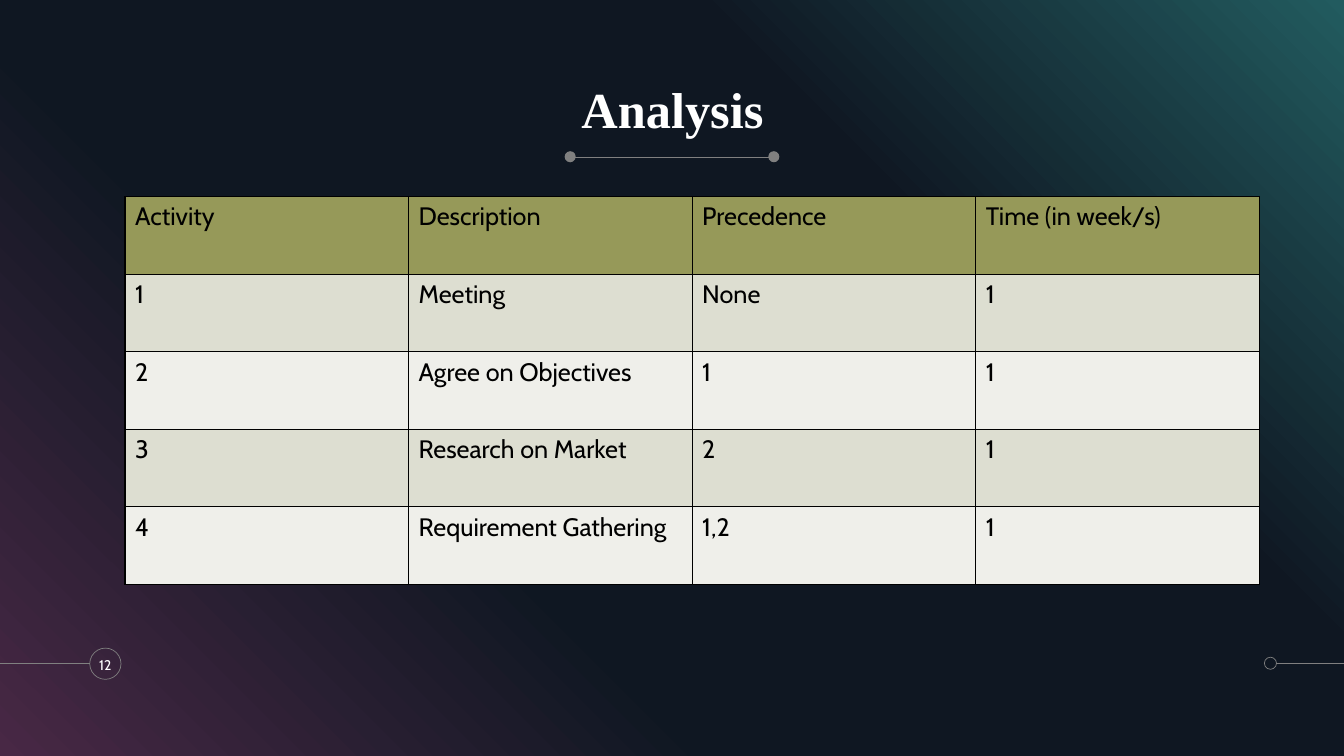
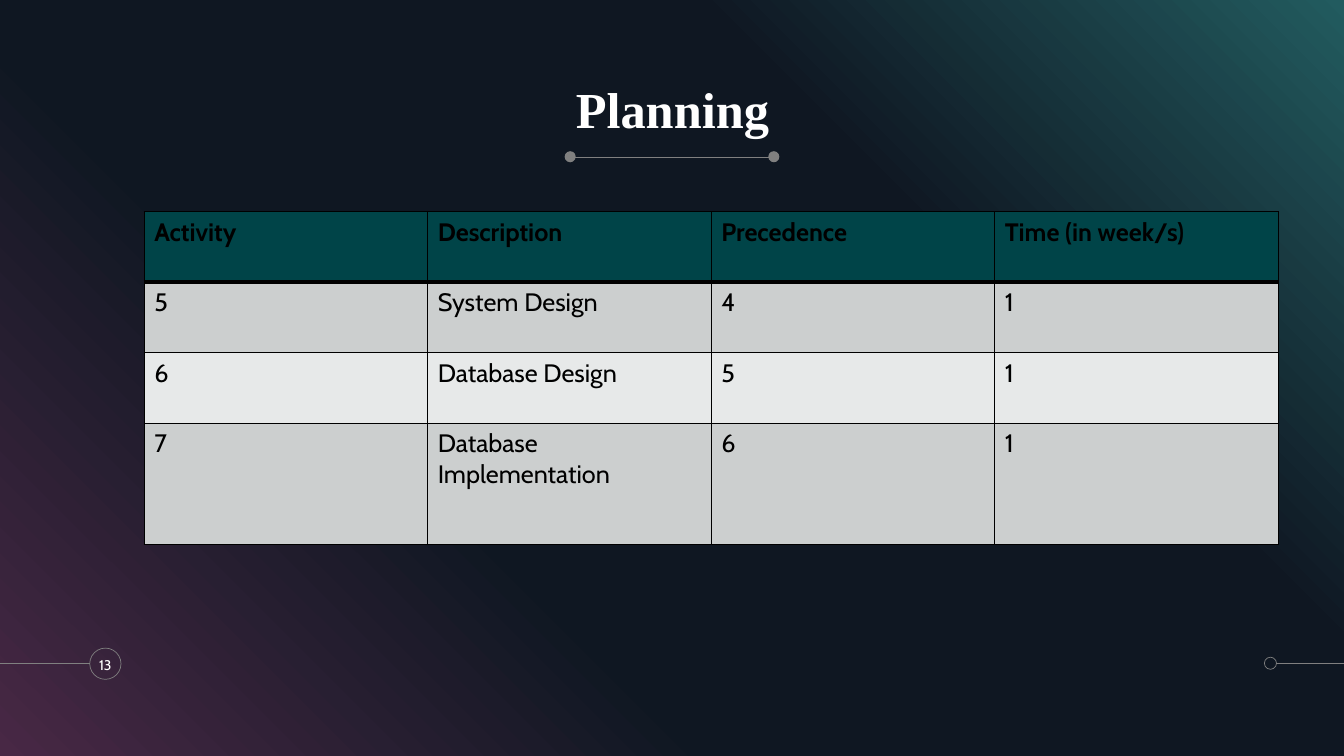
import copy

import lxml.etree
import pptx
import pptx.dml.color
import pptx.enum.shapes
import pptx.enum.text
import pptx.oxml.ns
import pptx.util

Inches = pptx.util.Inches
Pt = pptx.util.Pt
RGBColor = pptx.dml.color.RGBColor
Shape = pptx.enum.shapes.MSO_SHAPE
Align = pptx.enum.text.PP_ALIGN
Anchor = pptx.enum.text.MSO_ANCHOR
qn = pptx.oxml.ns.qn

BLACK = RGBColor(0x00, 0x00, 0x00)
WHITE = RGBColor(0xFF, 0xFF, 0xFF)
GREY = RGBColor(0x80, 0x80, 0x80)
PLUM = RGBColor(0x48, 0x28, 0x45)
NIGHT = RGBColor(0x0F, 0x17, 0x22)
TEAL = RGBColor(0x22, 0x5B, 0x5F)
OLIVE = RGBColor(0x96, 0x99, 0x59)
OLIVE_BAND = RGBColor(0xDD, 0xDE, 0xD1)
OLIVE_PALE = RGBColor(0xEF, 0xEF, 0xEA)
PINE = RGBColor(0x00, 0x44, 0x48)
PINE_BAND = RGBColor(0xCC, 0xCF, 0xCF)
PINE_PALE = RGBColor(0xE7, 0xE9, 0xE9)

BACKDROP_STOPS = [(0, PLUM), (0.34, NIGHT), (0.69, NIGHT), (1, TEAL)]
HEADINGS = ["Activity", "Description", "Precedence", "Time (in week/s)"]
WIDTH, HEIGHT = 13.33, 7.5
TABLE_WIDTH = 11.25


class Designer:
    """Holds the deck style and the slide being drawn."""

    title_font = "Times New Roman"
    body_font = "Cabin"

    def __init__(self):
        self.deck = pptx.Presentation()
        self.deck.slide_width = Inches(WIDTH)
        self.deck.slide_height = Inches(HEIGHT)
        self.page = None

    def start_page(self, title, number):
        """Add a slide with its backdrop, ornaments, title and number."""
        self.page = self.deck.slides.add_slide(self.deck.slide_layouts[5])
        self.backdrop()
        self.ellipse(0.89, 6.43, 0.31)
        self.line(12.66, 6.58, WIDTH, 6.58)
        self.ellipse(12.54, 6.52, 0.12)
        self.line(0, 6.58, 0.89, 6.58)
        self.line(5.6, 1.56, 7.67, 1.56)
        for left in (7.62, 5.6):
            self.ellipse(left, 1.5, 0.11, GREY)
        self.title(title)
        self.page_number(number)

    def backdrop(self):
        """Cover the slide with the diagonal gradient."""
        box = self.page.shapes.add_shape(
            Shape.RECTANGLE, 0, 0, Inches(WIDTH), Inches(HEIGHT))
        box.shadow.inherit = False
        box.line.fill.background()
        box.fill.gradient()
        box.fill.gradient_angle = 45
        stop_list = box.element.find(".//" + qn("a:gsLst"))
        while len(stop_list) < len(BACKDROP_STOPS):
            stop_list.append(copy.deepcopy(stop_list[0]))
        for stop, (position, color) in zip(box.fill.gradient_stops, BACKDROP_STOPS):
            stop.position = position
            stop.color.rgb = color

    def ellipse(self, left, top, size, fill=None):
        """Draw a circle, filled or outlined."""
        circle = self.page.shapes.add_shape(
            Shape.OVAL, Inches(left), Inches(top), Inches(size), Inches(size))
        circle.shadow.inherit = False
        if fill is None:
            circle.fill.background()
            circle.line.color.rgb = GREY
            circle.line.width = Pt(0.5)
        else:
            circle.fill.solid()
            circle.fill.fore_color.rgb = fill
            circle.line.fill.background()

    def line(self, left, top, right, bottom):
        """Draw a thin grey line."""
        rule = self.page.shapes.add_connector(
            pptx.enum.shapes.MSO_CONNECTOR.STRAIGHT,
            Inches(left), Inches(top), Inches(right), Inches(bottom))
        rule.line.color.rgb = GREY
        rule.line.width = Pt(0.5)
        lxml.etree.SubElement(rule.element.find(qn("p:spPr")), qn("a:effectLst"))

    def add_span(self, para, text, size, color, font=body_font, bold=False):
        """Add one formatted run to a paragraph."""
        span = para.add_run()
        span.text = text
        span.font.name = font
        span.font.size = Pt(size)
        span.font.bold = bold
        span.font.color.rgb = color

    def title(self, text):
        """Place the title placeholder in front of the backdrop."""
        box = self.page.shapes.title
        box.element.getparent().append(box.element)
        box.left, box.top = Inches(4.23), Inches(0.76)
        box.width, box.height = Inches(4.88), Inches(0.62)
        frame = box.text_frame
        frame.auto_size = pptx.enum.text.MSO_AUTO_SIZE.NONE
        frame.margin_left = frame.margin_right = 0
        frame.margin_top = frame.margin_bottom = 0
        frame.vertical_anchor = Anchor.BOTTOM
        para = frame.paragraphs[0]
        para.alignment = Align.CENTER
        para.line_spacing = 0.9
        self.add_span(para, text, 36, WHITE, self.title_font, True)

    def page_number(self, number):
        """Put the number inside the footer circle."""
        box = self.page.shapes.add_textbox(
            Inches(0.85), Inches(6.43), Inches(0.39), Inches(0.33))
        frame = box.text_frame
        frame.word_wrap = True
        frame.vertical_anchor = Anchor.MIDDLE
        para = frame.paragraphs[0]
        para.alignment = Align.CENTER
        self.add_span(para, str(number), 10, WHITE)

    def border(self, cell, side, width):
        """Draw one black cell edge."""
        edge = lxml.etree.SubElement(
            cell._tc.get_or_add_tcPr(), qn("a:ln" + side), w=str(Pt(width)))
        fill = lxml.etree.SubElement(edge, qn("a:solidFill"))
        lxml.etree.SubElement(fill, qn("a:srgbClr"), val=str(BLACK))

    def table(self, left, top, heights, rows, fills, header_rule=1, header_bold=False):
        """Add a table whose fills are header, odd band and even band."""
        rows = [HEADINGS] + rows
        grid = self.page.shapes.add_table(
            len(rows), len(HEADINGS), Inches(left), Inches(top),
            Inches(TABLE_WIDTH), Inches(sum(heights))).table
        grid.horz_banding = False
        for column in grid.columns:
            column.width = Inches(TABLE_WIDTH / len(HEADINGS))
        header, odd, even = fills
        for index, (height, texts) in enumerate(zip(heights, rows)):
            grid.rows[index].height = Inches(height)
            color = header if index == 0 else odd if index % 2 else even
            edges = {"L": 1, "R": 1,
                     "T": header_rule if index == 1 else 1,
                     "B": header_rule if index == 0 else 1}
            for cell, text in zip(grid.rows[index].cells, texts):
                for side, width in edges.items():
                    self.border(cell, side, width)
                cell.fill.solid()
                cell.fill.fore_color.rgb = color
                self.add_span(cell.text_frame.paragraphs[0], text, 18, BLACK,
                              bold=header_bold and index == 0)


def main():
    """Build both slides and save the deck."""
    designer = Designer()

    designer.start_page("Analysis", 12)
    designer.table(1.24, 1.95, [0.77] * 5, [
        ["1", "Meeting", "None", "1"],
        ["2", "Agree on Objectives", "1", "1"],
        ["3", "Research on Market", "2", "1"],
        ["4", "Requirement Gathering", "1,2", "1"],
    ], (OLIVE, OLIVE_BAND, OLIVE_PALE))

    designer.start_page("Planning", 13)
    designer.table(1.43, 2.1, [0.7, 0.7, 0.7, 1.2], [
        ["5", "System Design", "4", "1"],
        ["6", "Database Design", "5", "1"],
        ["7", "Database Implementation", "6", "1"],
    ], (PINE, PINE_BAND, PINE_PALE), header_rule=3, header_bold=True)

    designer.deck.save("out.pptx")


if __name__ == "__main__":
    main()
